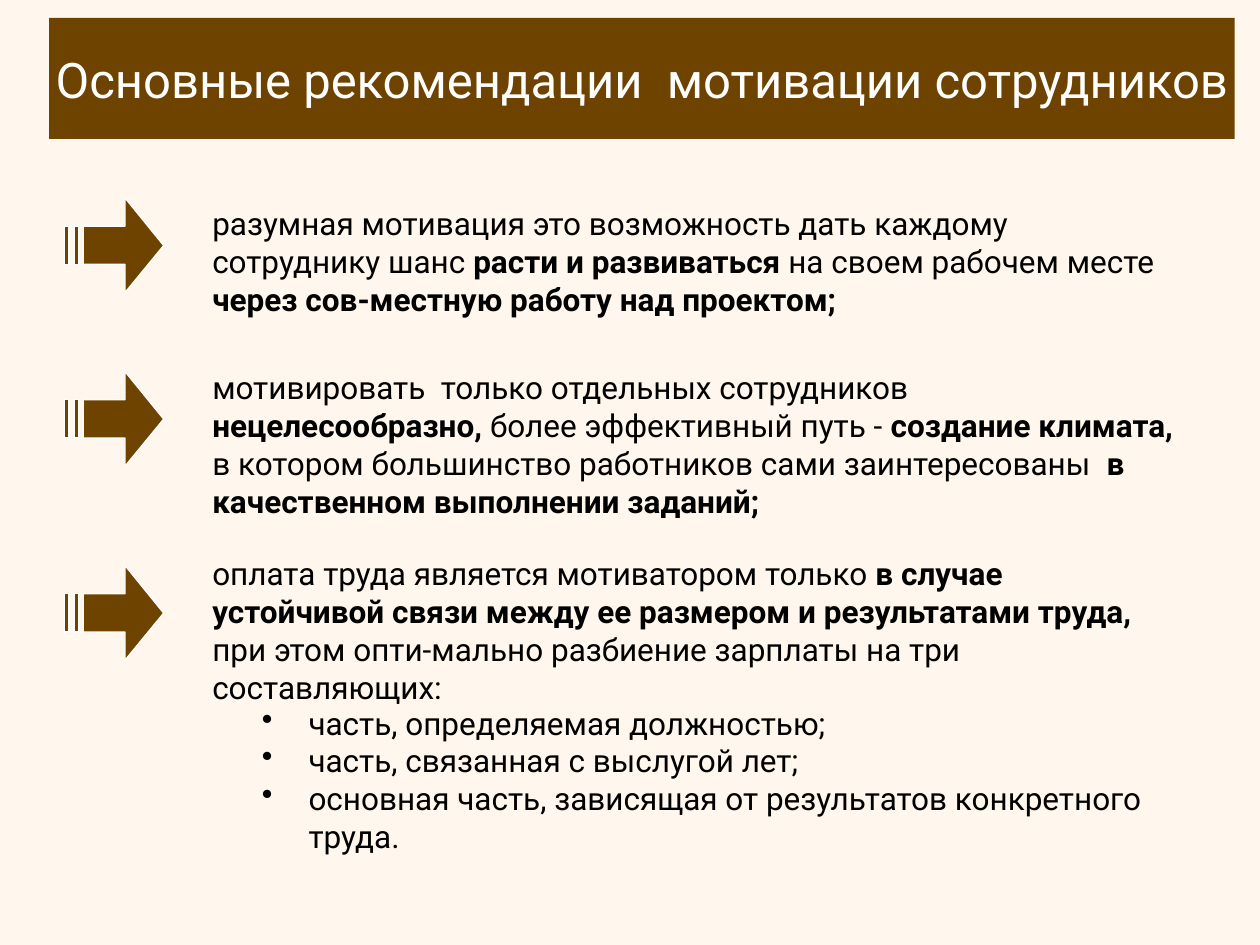
"""Build a slide of staff motivation recommendations."""
from dataclasses import dataclass

import lxml.etree
import pptx
import pptx.dml.color
import pptx.enum.shapes
import pptx.enum.text
import pptx.oxml.ns
import pptx.presentation
import pptx.shapes.base
import pptx.slide
import pptx.text.text
import pptx.util

Cm = pptx.util.Cm


@dataclass(frozen=True)
class Theme:
    background: str = "FFF7ED"
    accent: str = "6E4300"
    light: str = "FFFFFF"
    text: str = "000000"
    font: str = "Roboto"
    title_size: int = 28
    body_size: int = 18
    outline: float = 0.75


@dataclass(frozen=True)
class Box:
    left: float
    top: float
    width: float
    height: float


@dataclass(frozen=True)
class Recommendation:
    """A recommendation whose text pieces alternate between regular and bold."""
    arrow_top: float
    box: Box
    pieces: tuple[str, ...]


THEME = Theme()
TITLE = "Основные рекомендации  мотивации сотрудников"
TITLE_BOX = Box(0.99, 0.36, 23.9, 2.44)
ARROW_LEFT = 1.3
ARROW_CONTOURS = (
    ((1.22, 0), (2, 0.96), (1.22, 1.91), (1.22, 1.34), (0.38, 1.34), (0.38, 0.57), (1.22, 0.57)),
    ((0, 0.57), (0, 1.34), (0.09, 1.34), (0.09, 0.57)),
    ((0.2, 0.57), (0.2, 1.34), (0.28, 1.34), (0.28, 0.57)),
)
RECOMMENDATIONS = (
    Recommendation(3.99, Box(4, 3.71, 20, 3.1), (
        "разумная мотивация это возможность дать каждому сотруднику шанс ",
        "расти и развиваться",
        " на своем рабочем месте ",
        "через сов-местную работу над проектом;",
    )),
    Recommendation(7.49, Box(4, 7.4, 20, 3.1), (
        "мотивировать  только отдельных сотрудников",
        " нецелесообразно,",
        " более эффективный путь - ",
        "создание климата,",
        " в котором большинство работников сами заинтересованы ",
        " в качественном выполнении заданий;",
    )),
    Recommendation(11.4, Box(4, 11.1, 20, 3.2), (
        "оплата труда является мотиватором только",
        " в случае устойчивой связи между ее размером и результатами труда, ",
        "при этом опти-мально разбиение зарплаты на три составляющих:",
    )),
)
PAY_BOX = Box(5, 14.61, 19.1, 2.2)
PAY_PARTS = (
    "часть, определяемая должностью;",
    "часть, связанная с выслугой лет;",
    "основная часть, зависящая от результатов конкретного труда.",
)
BULLET_INDENT = 0.94


def color(value: str) -> pptx.dml.color.RGBColor:
    """Convert a hexadecimal colour."""
    return pptx.dml.color.RGBColor.from_string(value)


def place(box: Box) -> tuple[pptx.util.Length, ...]:
    """Convert a box to slide lengths."""
    return Cm(box.left), Cm(box.top), Cm(box.width), Cm(box.height)


def set_frame(frame: pptx.text.text.TextFrame, side: float, top: float, bottom: float) -> None:
    """Wrap and centre the text vertically inside the given margins."""
    frame.word_wrap = True
    frame.vertical_anchor = pptx.enum.text.MSO_ANCHOR.MIDDLE
    frame.margin_left = frame.margin_right = Cm(side)
    frame.margin_top, frame.margin_bottom = Cm(top), Cm(bottom)


def set_font(paragraph: pptx.text.text._Paragraph, size: int, value: str) -> None:
    """Set the typeface, size and colour of a paragraph."""
    paragraph.font.name = THEME.font
    paragraph.font.size = pptx.util.Pt(size)
    paragraph.font.color.rgb = color(value)


def fill_accent(shape: pptx.shapes.base.BaseShape) -> None:
    """Give a shape the flat accent fill."""
    shape.shadow.inherit = False
    shape.fill.solid()
    shape.fill.fore_color.rgb = color(THEME.accent)


def add_title(slide: pptx.slide.Slide) -> None:
    """Draw the title banner."""
    banner = slide.shapes.add_shape(pptx.enum.shapes.MSO_SHAPE.RECTANGLE, *place(TITLE_BOX))
    fill_accent(banner)
    banner.line.fill.background()
    set_frame(banner.text_frame, 0.08, 0.28, 0.08)
    paragraph = banner.text_frame.paragraphs[0]
    paragraph.text = TITLE
    paragraph.alignment = pptx.enum.text.PP_ALIGN.CENTER
    paragraph.line_spacing = 0.86
    set_font(paragraph, THEME.title_size, THEME.light)


def add_arrow(slide: pptx.slide.Slide, top: float) -> None:
    """Draw a striped arrow at the given height."""
    contours = [
        [(Cm(ARROW_LEFT + x), Cm(top + y)) for x, y in contour] for contour in ARROW_CONTOURS
    ]
    builder = slide.shapes.build_freeform(*contours[0][0])
    builder.add_line_segments(contours[0][1:], close=True)
    for stripe in contours[1:]:
        builder.move_to(*stripe[0])
        builder.add_line_segments(stripe[1:], close=True)
    arrow = builder.convert_to_shape()
    fill_accent(arrow)
    arrow.line.color.rgb = color(THEME.light)
    arrow.line.width = pptx.util.Pt(THEME.outline)


def add_text_frame(slide: pptx.slide.Slide, box: Box) -> pptx.text.text.TextFrame:
    """Add a body text box and return its frame."""
    frame = slide.shapes.add_textbox(*place(box)).text_frame
    set_frame(frame, 0.28, 0.15, 0.15)
    return frame


def add_recommendation(slide: pptx.slide.Slide, recommendation: Recommendation) -> None:
    """Draw a recommendation and its arrow."""
    add_arrow(slide, recommendation.arrow_top)
    paragraph = add_text_frame(slide, recommendation.box).paragraphs[0]
    set_font(paragraph, THEME.body_size, THEME.text)
    for index, piece in enumerate(recommendation.pieces):
        run = paragraph.add_run()
        run.text = piece
        run.font.bold = index % 2 == 1


def add_bullet(paragraph: pptx.text.text._Paragraph) -> None:
    """Give a paragraph a hanging bullet."""
    properties = paragraph._p.get_or_add_pPr()
    properties.set("marL", str(Cm(BULLET_INDENT)))
    properties.set("indent", str(-Cm(BULLET_INDENT)))
    bullet = lxml.etree.SubElement(properties, pptx.oxml.ns.qn("a:buChar"))
    bullet.set("char", "•")


def add_pay_parts(slide: pptx.slide.Slide) -> None:
    """Draw the bulleted parts of the pay."""
    frame = add_text_frame(slide, PAY_BOX)
    for index, part in enumerate(PAY_PARTS):
        paragraph = frame.add_paragraph() if index else frame.paragraphs[0]
        paragraph.text = part
        add_bullet(paragraph)
        set_font(paragraph, THEME.body_size, THEME.text)


def main() -> None:
    """Build and save the presentation."""
    presentation = pptx.Presentation()
    presentation.slide_width, presentation.slide_height = Cm(25.4), Cm(19.05)
    slide = presentation.slides.add_slide(presentation.slide_layouts[6])
    slide.background.fill.solid()
    slide.background.fill.fore_color.rgb = color(THEME.background)
    add_title(slide)
    for recommendation in RECOMMENDATIONS:
        add_recommendation(slide, recommendation)
    add_pay_parts(slide)
    presentation.save("out.pptx")


if __name__ == "__main__":
    main()
